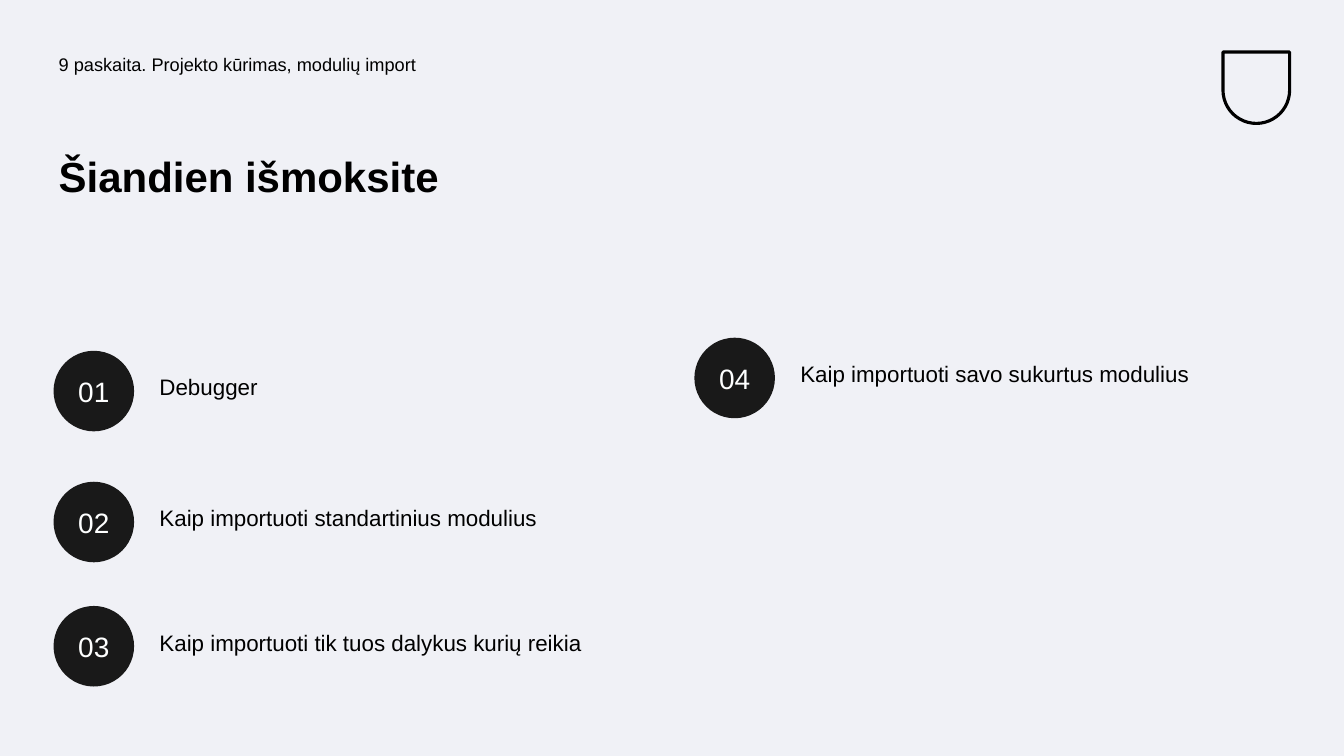
from pptx import Presentation
from pptx.dml.color import RGBColor
from pptx.enum.shapes import MSO_SHAPE
from pptx.enum.text import MSO_ANCHOR, MSO_AUTO_SIZE, PP_ALIGN
from pptx.util import Cm, Pt

OVAL = MSO_SHAPE.OVAL
BADGE = MSO_SHAPE.ROUND_2_SAME_RECTANGLE
TOP, MIDDLE = MSO_ANCHOR.TOP, MSO_ANCHOR.MIDDLE
LEFT, CENTER = PP_ALIGN.LEFT, PP_ALIGN.CENTER
NO_AUTOFIT = MSO_AUTO_SIZE.NONE

FONT = "Arial"
BLACK, CHARCOAL, WHITE, PALE = "000000", "191919", "FEFFFF", "F0F1F6"
MARGIN = 1.35
RIGHT_COLUMN = 17.5
CIRCLE = 2.03

TOPICS = [
    ("01", "Debugger", MARGIN, 8.84),
    ("02", "Kaip importuoti standartinius modulius", MARGIN, 12.14),
    ("03", "Kaip importuoti tik tuos dalykus kurių reikia", MARGIN, 15.27),
    ("04", "Kaip importuoti savo sukurtus modulius", RIGHT_COLUMN, 8.51),
]


def color(hex_code):
    return RGBColor.from_string(hex_code)


def lengths(box):
    return [Cm(value) for value in box]


def write(shape, text, size, hex_code=BLACK, bold=False, align=LEFT,
          anchor=TOP, line_spacing=0.9, before=0, inset=0.13):
    frame = shape.text_frame
    frame.word_wrap = True
    frame.auto_size = NO_AUTOFIT
    frame.vertical_anchor = anchor
    frame.margin_left = frame.margin_right = Cm(inset)
    frame.margin_top = frame.margin_bottom = Cm(inset)
    para = frame.paragraphs[0]
    para.alignment = align
    para.line_spacing = line_spacing
    para.space_before = Pt(before)
    span = para.add_run()
    span.text = text
    span.font.name = FONT
    span.font.size = Pt(size)
    span.font.bold = bold
    span.font.color.rgb = color(hex_code)


def add_label(page, text, size, box):
    label = page.shapes.add_textbox(*lengths(box))
    write(label, text, size, before=10)


def add_title(page, text, box):
    title = page.shapes.title
    title.left, title.top, title.width, title.height = lengths(box)
    write(title, text, 30, bold=True)


def add_badge(page, box):
    """Place a plain outlined badge with a rounded lower edge."""
    badge = page.shapes.add_shape(BADGE, *lengths(box))
    badge.shadow.inherit = False
    badge.rotation = 180
    badge.adjustments[0] = 0.5
    badge.fill.background()
    badge.line.color.rgb = color(BLACK)
    badge.line.width = Pt(2.25)


def add_topic(page, number, text, left, top):
    circle = page.shapes.add_shape(OVAL, *lengths((left, top, CIRCLE, CIRCLE)))
    circle.shadow.inherit = False
    circle.fill.solid()
    circle.fill.fore_color.rgb = color(CHARCOAL)
    circle.line.fill.background()
    write(circle, number, 20, WHITE, align=CENTER, anchor=MIDDLE,
          line_spacing=1.0, inset=0)
    add_label(page, text, 16, (left + 2.54, top + 0.52, 11.76, 1.0))


def add_agenda_slide(deck):
    page = deck.slides.add_slide(deck.slide_layouts.get_by_name("Title Only"))
    page.background.fill.solid()
    page.background.fill.fore_color.rgb = color(PALE)
    add_badge(page, (30.82, 1.31, 1.68, 1.8))
    add_label(page, "9 paskaita. Projekto kūrimas, modulių import", 13,
              (MARGIN, 1.27, 15.6, 1.24))
    add_title(page, "Šiandien išmoksite", (MARGIN, 3.81, 14.3, 3.78))
    for topic in TOPICS:
        add_topic(page, *topic)


def main():
    deck = Presentation()
    deck.slide_width, deck.slide_height = Cm(33.87), Cm(19.05)
    add_agenda_slide(deck)
    deck.save("out.pptx")


if __name__ == "__main__":
    main()
